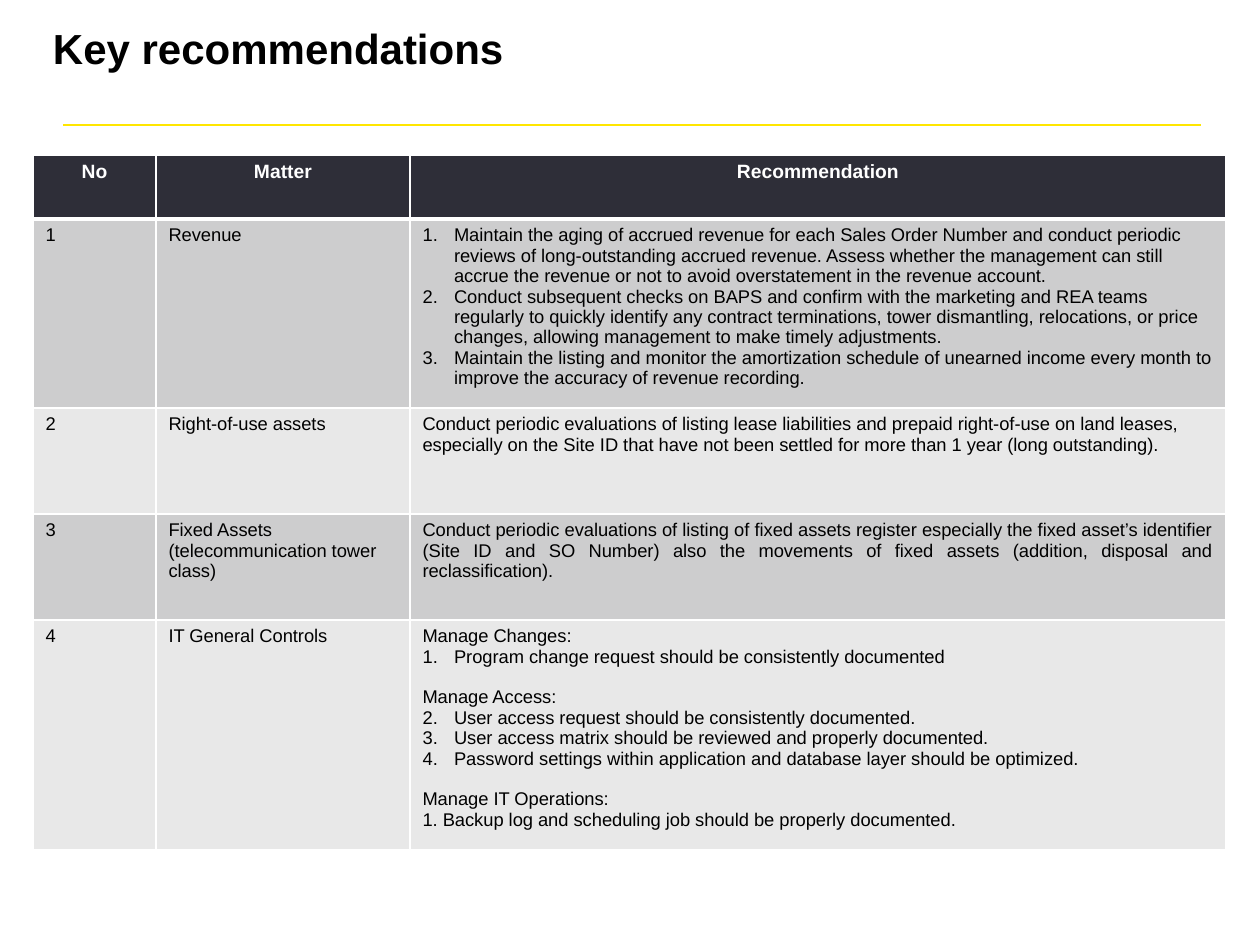
from dataclasses import dataclass

from lxml import etree
from pptx import Presentation
from pptx import util as u
from pptx.dml.color import RGBColor
from pptx.enum import shapes, text
from pptx.oxml import ns


@dataclass(frozen=True)
class Theme:
    """Colours, font and type sizes of the slide."""
    font: str = "Arial"
    ink: str = "000000"
    white: str = "FFFFFF"
    accent: str = "FFE600"
    header: str = "2E2E38"
    bands: tuple = ("CDCDCE", "E8E8E8")
    title_size: float = 24
    header_size: float = 11
    body_size: float = 10.5
    line_gap: float = 11.7


@dataclass(frozen=True)
class Line:
    """One paragraph of a cell, numbered from start when start is set."""
    text: str
    start: int = 0
    gap: bool = False
    align: text.PP_ALIGN = text.PP_ALIGN.LEFT


THEME = Theme()
COLUMNS = (123, 254, 816)
ROWS = (64, 176, 106, 106, 216)
HEADINGS = ("No", "Matter", "Recommendation")
MATTERS = (
    ("Revenue", (
        Line("Maintain the aging of accrued revenue for each Sales Order Number and conduct periodic "
             "reviews of long-outstanding accrued revenue. Assess whether the management can still "
             "accrue the revenue or not to avoid overstatement in the revenue account.", 1),
        Line("Conduct subsequent checks on BAPS and confirm with the marketing and REA teams "
             "regularly to quickly identify any contract terminations, tower dismantling, "
             "relocations, or price changes, allowing management to make timely adjustments.", 1),
        Line("Maintain the listing and monitor the amortization schedule of unearned income every "
             "month to improve the accuracy of revenue recording.", 1),
    )),
    ("Right-of-use assets", (
        Line("Conduct periodic evaluations of listing lease liabilities and prepaid right-of-use on "
             "land leases, especially on the Site ID that have not been settled for more than 1 year "
             "(long outstanding)."),
    )),
    ("Fixed Assets (telecommunication tower class)", (
        Line("Conduct periodic evaluations of listing of fixed assets register especially the fixed "
             "asset’s identifier (Site ID and SO Number) also the movements of fixed assets "
             "(addition, disposal and reclassification).", align=text.PP_ALIGN.JUSTIFY),
    )),
    ("IT General Controls", (
        Line("Manage Changes:"),
        Line("Program change request should be consistently documented", 1),
        Line("Manage Access:", gap=True),
        Line("User access request should be consistently documented.", 2),
        Line("User access matrix should be reviewed and properly documented.", 2),
        Line("Password settings within application and database layer should be optimized.", 2),
        Line("Manage IT Operations:", gap=True),
        Line("1. Backup log and scheduling job should be properly documented."),
    )),
)


def px(length):
    """Turn whole pixels into EMU."""
    return u.Emu(round(length * 914400 / 126))


def style_paragraph(paragraph, size, color, bold=False):
    """Format every run of a paragraph."""
    for run in paragraph.runs:
        run.font.name = THEME.font
        run.font.size = u.Pt(size)
        run.font.bold = bold
        run.font.color.rgb = RGBColor.from_string(color)


def number_paragraph(paragraph, start):
    """Give a paragraph a hanging automatic number."""
    properties = paragraph._p.get_or_add_pPr()
    properties.set("marL", str(u.Inches(0.25)))
    properties.set("indent", str(-u.Inches(0.25)))
    bullet = etree.SubElement(properties, ns.qn("a:buAutoNum"), type="arabicPeriod")
    if start > 1:
        bullet.set("startAt", str(start))


def border_cell(cell, top=1, bottom=1):
    """Draw white borders, with widths in points, round a cell."""
    properties = cell._tc.get_or_add_tcPr()
    widths = {"a:lnL": 1, "a:lnR": 1, "a:lnT": top, "a:lnB": bottom}
    for position, (side, width) in enumerate(widths.items()):
        border = etree.Element(ns.qn(side), w=str(u.Pt(width)))
        fill = etree.SubElement(border, ns.qn("a:solidFill"))
        etree.SubElement(fill, ns.qn("a:srgbClr"), val=THEME.white)
        properties.insert(position, border)


def fill_cell(cell, color, lines):
    """Fill a cell and write its paragraphs, leaving them unformatted."""
    cell.fill.solid()
    cell.fill.fore_color.rgb = RGBColor.from_string(color)
    cell.text_frame.text = "\n".join(line.text for line in lines)
    for paragraph, line in zip(cell.text_frame.paragraphs, lines):
        paragraph.alignment = line.align
        if line.gap:
            paragraph.space_before = u.Pt(THEME.line_gap)
        if line.start:
            number_paragraph(paragraph, line.start)
    return cell.text_frame.paragraphs


def add_title(slide, left, top, width, height):
    """Place the slide title with the accent rule beneath it."""
    frame = slide.shapes.add_textbox(px(left), px(top), px(width), px(height)).text_frame
    frame.word_wrap = True
    frame.margin_left = frame.margin_right = frame.margin_top = frame.margin_bottom = 0
    frame.text = "Key recommendations"
    frame.paragraphs[0].line_spacing = 0.85
    style_paragraph(frame.paragraphs[0], THEME.title_size, THEME.ink, True)
    rule_left, rule_top = left + 10, top + 95
    rule = slide.shapes.add_connector(
        shapes.MSO_CONNECTOR.STRAIGHT,
        px(rule_left), px(rule_top), px(rule_left + 1138), px(rule_top))
    rule.line.color.rgb = RGBColor.from_string(THEME.accent)
    rule.line.width = u.Pt(1.5)
    etree.SubElement(rule._element.spPr, ns.qn("a:effectLst"))


def add_recommendations(slide, left, top):
    """Place the table of matters and recommendations."""
    table = slide.shapes.add_table(
        len(ROWS), len(COLUMNS), px(left), px(top), px(sum(COLUMNS)), px(sum(ROWS))).table
    table.first_row = table.horz_banding = False
    for column, width in zip(table.columns, COLUMNS):
        column.width = px(width)
    for row, height in zip(table.rows, ROWS):
        row.height = px(height)
    for cell, heading in zip(table.rows[0].cells, HEADINGS):
        line = Line(heading, align=text.PP_ALIGN.CENTER)
        for paragraph in fill_cell(cell, THEME.header, (line,)):
            style_paragraph(paragraph, THEME.header_size, THEME.white, True)
        border_cell(cell, bottom=3)
    for number, (matter, lines) in enumerate(MATTERS, 1):
        contents = ((Line(str(number)),), (Line(matter),), lines)
        for cell, content in zip(table.rows[number].cells, contents):
            band = THEME.bands[(number - 1) % len(THEME.bands)]
            for paragraph in fill_cell(cell, band, content):
                style_paragraph(paragraph, THEME.body_size, THEME.ink)
            border_cell(cell, top=3 if number == 1 else 1)


def main():
    """Build and save the presentation."""
    presentation = Presentation()
    presentation.slide_width, presentation.slide_height = px(1260), px(945)
    slide = presentation.slides.add_slide(presentation.slide_layouts[6])
    add_title(slide, 53, 30, 1134, 82)
    add_recommendations(slide, 33, 155)
    presentation.save("out.pptx")


if __name__ == "__main__":
    main()
